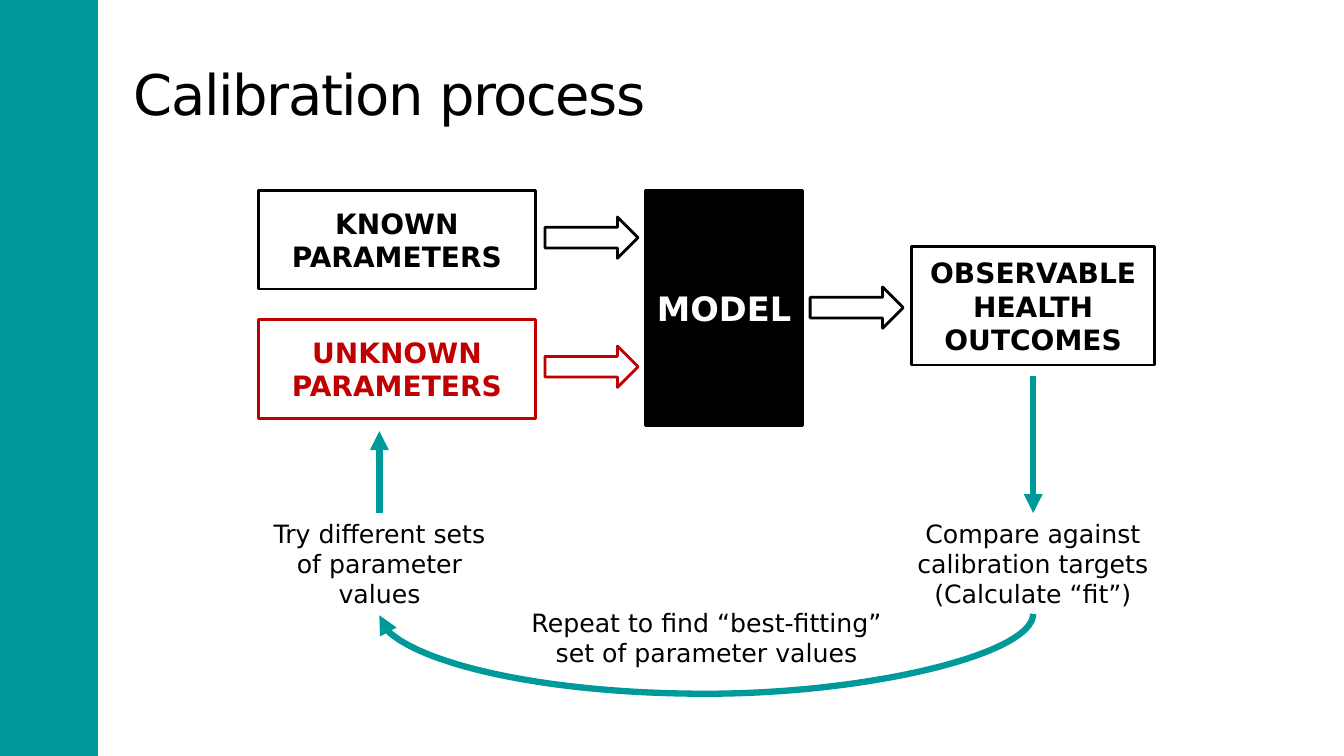
from dataclasses import dataclass

from lxml.etree import SubElement
from pptx import Presentation
from pptx.dml.color import RGBColor
from pptx.enum.shapes import MSO_CONNECTOR, MSO_SHAPE
from pptx.enum.text import MSO_ANCHOR, PP_ALIGN
from pptx.oxml.ns import qn
from pptx.util import Pt


@dataclass(frozen=True)
class Theme:
    font: str = "DejaVu Sans"
    teal: RGBColor = RGBColor(0x00, 0x99, 0x99)
    black: RGBColor = RGBColor(0x00, 0x00, 0x00)
    white: RGBColor = RGBColor(0xFF, 0xFF, 0xFF)
    red: RGBColor = RGBColor(0xC0, 0x00, 0x00)
    title: int = 40
    model: int = 24
    box: int = 20
    note: int = 18
    outline: float = 2
    flow: float = 4.5


class Diagram:
    def __init__(self, slide, theme):
        self.shapes = slide.shapes
        self.theme = theme

    def add_text(self, tf, lines, size, color, bold=False, align=PP_ALIGN.CENTER):
        tf.word_wrap = True
        for i, line in enumerate(lines):
            p = tf.paragraphs[0] if i == 0 else tf.add_paragraph()
            p.alignment = align
            r = p.add_run()
            r.text = line
            r.font.name = self.theme.font
            r.font.size = Pt(size)
            r.font.bold = bold
            r.font.color.rgb = color

    def shape(self, kind, x, y, w, h, fill, line=None):
        sp = self.shapes.add_shape(kind, Pt(x), Pt(y), Pt(w), Pt(h))
        sp.shadow.inherit = False
        sp.fill.solid()
        sp.fill.fore_color.rgb = fill
        if line is None:
            sp.line.fill.background()
        else:
            sp.line.color.rgb = line
            sp.line.width = Pt(self.theme.outline)
        return sp

    def box(self, text, x, y, w, h, color, fill, line, size):
        sp = self.shape(MSO_SHAPE.RECTANGLE, x, y, w, h, fill, line)
        sp.text_frame.vertical_anchor = MSO_ANCHOR.MIDDLE
        self.add_text(sp.text_frame, [text], size, color, bold=True)

    def block_arrow(self, x, y, color):
        self.shape(MSO_SHAPE.RIGHT_ARROW, x, y, 66.5, 29.5, self.theme.white, color)

    def title(self, text, x, y, w, h):
        tf = self.shapes.add_textbox(Pt(x), Pt(y), Pt(w), Pt(h)).text_frame
        tf.vertical_anchor = MSO_ANCHOR.MIDDLE
        self.add_text(tf, [text], self.theme.title, self.theme.black, align=PP_ALIGN.LEFT)
        tf.paragraphs[0].runs[0].font._element.set("spc", "-100")

    def note(self, lines, x, y, w, h):
        sp = self.shapes.add_textbox(Pt(x), Pt(y), Pt(w), Pt(h))
        self.add_text(sp.text_frame, lines, self.theme.note, self.theme.black)

    def flow(self, x1, y1, x2, y2, kind=MSO_CONNECTOR.STRAIGHT):
        cxn = self.shapes.add_connector(kind, Pt(x1), Pt(y1), Pt(x2), Pt(y2))
        cxn.line.color.rgb = self.theme.teal
        cxn.line.width = Pt(self.theme.flow)
        sp_pr = cxn._element.spPr
        SubElement(sp_pr.find(qn("a:ln")), qn("a:tailEnd"), type="triangle")
        SubElement(sp_pr, qn("a:effectLst"))
        return cxn

    def return_loop(self, left, right, y, drop):
        # A curved connector one point wide, turned a quarter to hang below its ends
        mid, half = (left + right) / 2, (right - left) / 2
        cxn = self.flow(mid - 0.5, y - half, mid + 0.5, y + half, MSO_CONNECTOR.CURVE)
        sp_pr = cxn._element.spPr
        sp_pr.find(qn("a:xfrm")).set("rot", str(90 * 60000))
        av = sp_pr.find(qn("a:prstGeom")).find(qn("a:avLst"))
        SubElement(av, qn("a:gd"), name="adj1", fmla=f"val {round(drop * 100000)}")


def main():
    prs = Presentation()
    prs.slide_width, prs.slide_height = Pt(960), Pt(540)
    t = Theme()
    d = Diagram(prs.slides.add_slide(prs.slide_layouts[6]), t)

    # Side band and title
    d.shape(MSO_SHAPE.RECTANGLE, -2, 0, 72, 540, t.teal)
    d.title("Calibration process", 88.5, 21.6, 800, 90)

    # Model and outcomes
    d.box("MODEL", 461.2, 136, 112, 168, t.white, t.black, t.black, t.model)
    d.block_arrow(578.7, 205, t.black)
    d.box("OBSERVABLE HEALTH OUTCOMES", 651, 176.2, 174, 84.5,
          t.black, t.white, t.black, t.box)

    # Inputs, each with its arrow into the model
    inputs = [("KNOWN PARAMETERS", t.black), ("UNKNOWN PARAMETERS", t.red)]
    for i, (text, color) in enumerate(inputs):
        y = 136 + 92.2 * i
        d.box(text, 184.5, y, 198, 70.5, color, t.white, color, t.box)
        d.block_arrow(389.3, y + 19, color)

    # Calibration loop
    left, right, note_top = 271, 738, 366.5
    d.note(["Compare against calibration targets", "(Calculate “fit”)"],
           641.5, note_top, 192.5, 72.7)
    d.note(["Try different sets of parameter values"], 184.3, note_top, 173.5, 72.7)
    d.note(["Repeat to find “best-fitting”", "set of parameter values"],
           368, 430, 273.5, 51)
    d.flow(right, 268.5, right, note_top)
    d.flow(left, note_top, left, 308)
    d.return_loop(left, right, 439, 57.5)

    prs.save("out.pptx")


if __name__ == "__main__":
    main()
